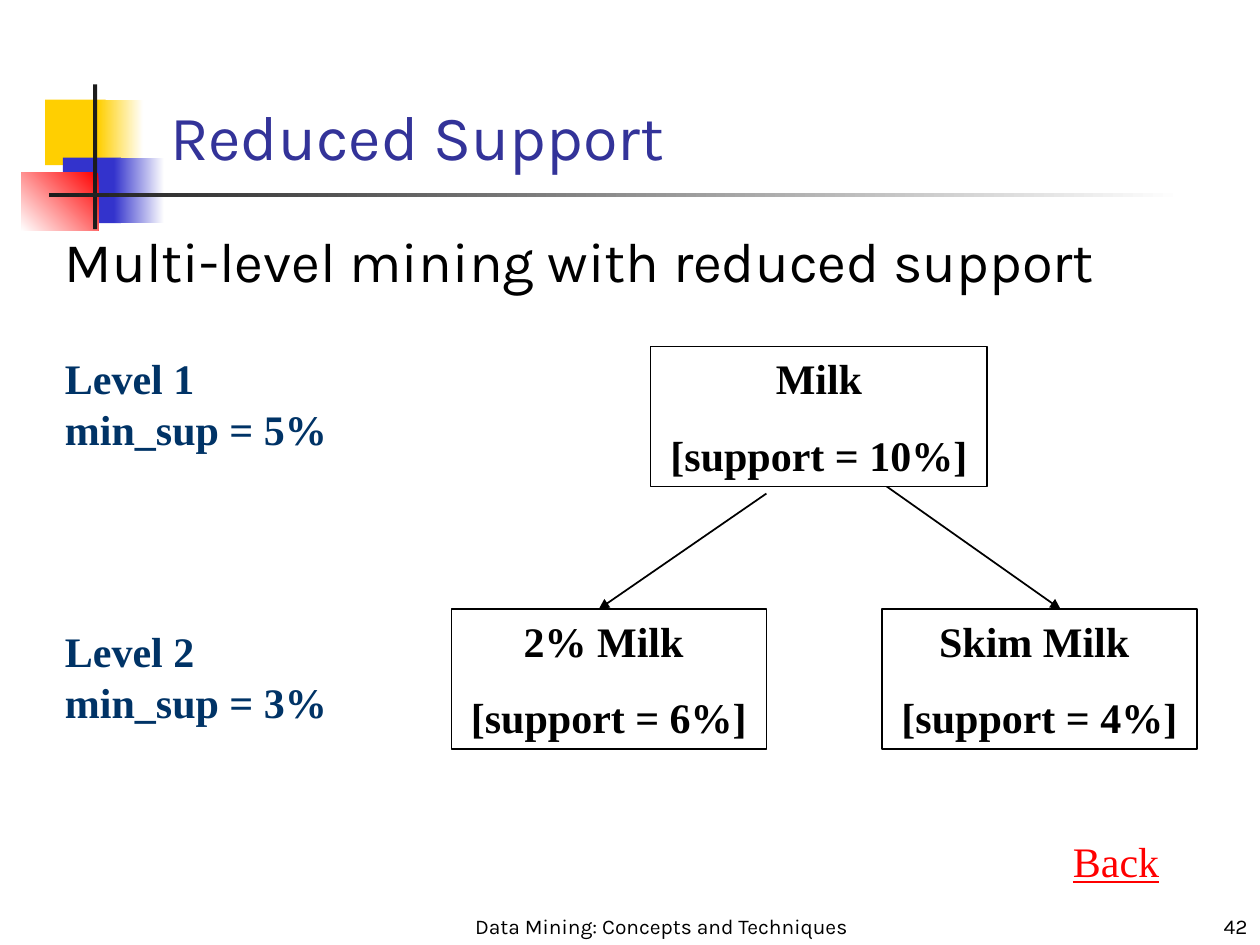
from lxml.etree import SubElement
from pptx import Presentation
from pptx.dml.color import RGBColor
from pptx.enum.shapes import MSO_CONNECTOR, MSO_SHAPE
from pptx.enum.text import MSO_ANCHOR, PP_ALIGN
from pptx.oxml.ns import qn
from pptx.util import Cm, Pt

SANS, SERIF = "Karla", "Times New Roman"
BLACK, WHITE, NAVY = "000000", "FFFFFF", "003366"
TOP, BOTTOM = MSO_ANCHOR.TOP, MSO_ANCHOR.BOTTOM
LEFT, CENTER, RIGHT = PP_ALIGN.LEFT, PP_ALIGN.CENTER, PP_ALIGN.RIGHT

DECOR = [
    ((0.91, 2.01, 1.22, 1.32), "FFCF01", None),
    ((1.98, 2.01, 0.91, 1.32), "FFCF01", 0),
    ((1.27, 3.18, 1.17, 1.32), "3333CC", None),
    ((2.29, 3.18, 1.02, 1.32), "3333CC", 0),
    ((0.43, 3.48, 1.55, 1.17), "FF0000", 225),
    ((1.88, 1.7, 0.08, 2.92), "1C1C1C", None),
    ((0.99, 3.89, 22.86, 0.08), "1C1C1C", 0),
]
TEXTS = [
    ((3.18, 1.91, 21.64, 1.7), ["Reduced Support"], SANS, 36, "333399", LEFT, BOTTOM),
    ((1.06, 4.45, 23.29, 2.74), ["Multi-level mining with reduced support"], SANS, 32, BLACK, LEFT, TOP),
    ((9.31, 17.99, 8.05, 1.06), ["Data Mining: Concepts and Techniques"], SANS, 12, BLACK, CENTER, BOTTOM),
    ((20.11, 17.99, 5.29, 1.06), ["42"], SANS, 12, BLACK, RIGHT, BOTTOM),
]
LEVELS = [
    (6.99, ["Level 1", "min_sup = 5%"]),
    (12.49, ["Level 2", "min_sup = 3%"]),
]
NODES = [
    ((13.12, 6.99, 6.78, 2.82), ["Milk", "[support = 10%]"]),
    ((9.1, 12.28, 6.35, 2.82), ["2% Milk ", "[support = 6%]"]),
    ((17.78, 12.28, 6.35, 2.82), ["Skim Milk ", "[support = 4%]"]),
]
ARROWS = [(15.45, 9.95, 12.07, 12.28), (17.78, 9.74, 21.38, 12.28)]


def rgb(color):
    """Turn a hex string into a colour."""
    return RGBColor.from_string(color)


def write(sp, lines, font, size, color, align=LEFT, anchor=TOP,
          bold=False, underline=False, wrap=True, gap=0):
    """Fill a shape with one styled paragraph per line."""
    tf = sp.text_frame
    tf.word_wrap = wrap
    tf.vertical_anchor = anchor
    for i, line in enumerate(lines):
        p = tf.add_paragraph() if i else tf.paragraphs[0]
        p.alignment = align
        p.space_before = Pt(gap if i else 0)
        r = p.add_run()
        r.text = line
        r.font.name, r.font.size = font, Pt(size)
        r.font.bold, r.font.underline = bold, underline
        r.font.color.rgb = rgb(color)


def add_rect(s, box, color, angle=None):
    """Add a borderless rectangle, fading to white along an angle if given."""
    sp = s.shapes.add_shape(MSO_SHAPE.RECTANGLE, *map(Cm, box))
    sp.shadow.inherit = False
    sp.line.fill.background()
    if angle is None:
        sp.fill.solid()
        sp.fill.fore_color.rgb = rgb(color)
    else:
        sp.fill.gradient()
        sp.fill.gradient_angle = angle
        for stop, stop_color in zip(sp.fill.gradient_stops, (color, WHITE)):
            stop.color.rgb = rgb(stop_color)
    return sp


def add_node(s, box, lines):
    """Add an outlined box of the tree."""
    sp = add_rect(s, box, WHITE)
    sp.line.color.rgb = rgb(BLACK)
    sp.line.width = Pt(0.75)
    write(sp, lines, SERIF, 24, BLACK, CENTER, bold=True, gap=15)


def add_arrow(s, ends):
    """Add a straight line with a triangle at its end."""
    c = s.shapes.add_connector(MSO_CONNECTOR.STRAIGHT, *map(Cm, ends))
    c.line.color.rgb = rgb(BLACK)
    c.line.width = Pt(1)
    SubElement(c.line._get_or_add_ln(), qn("a:tailEnd"), type="triangle")
    SubElement(c._element.spPr, qn("a:effectLst"))


def main():
    """Build the slide and save it."""
    prs = Presentation()
    prs.slide_width, prs.slide_height = Cm(25.4), Cm(19.05)
    s = prs.slides.add_slide(prs.slide_layouts[6])
    for box, color, angle in DECOR:
        add_rect(s, box, color, angle)
    for box, *style in TEXTS:
        write(s.shapes.add_textbox(*map(Cm, box)), *style)
    for ends in ARROWS:
        add_arrow(s, ends)
    for box, lines in NODES:
        add_node(s, box, lines)
    for top, lines in LEVELS:
        sp = s.shapes.add_textbox(Cm(1.06), Cm(top), Cm(5.79), Cm(2.29))
        write(sp, lines, SERIF, 24, NAVY, bold=True, wrap=False)
    back = s.shapes.add_textbox(Cm(21.38), Cm(16.72), Cm(2.24), Cm(1.27))
    write(back, ["Back"], SERIF, 24, "FF0000", underline=True, wrap=False)
    prs.save("out.pptx")


if __name__ == "__main__":
    main()
